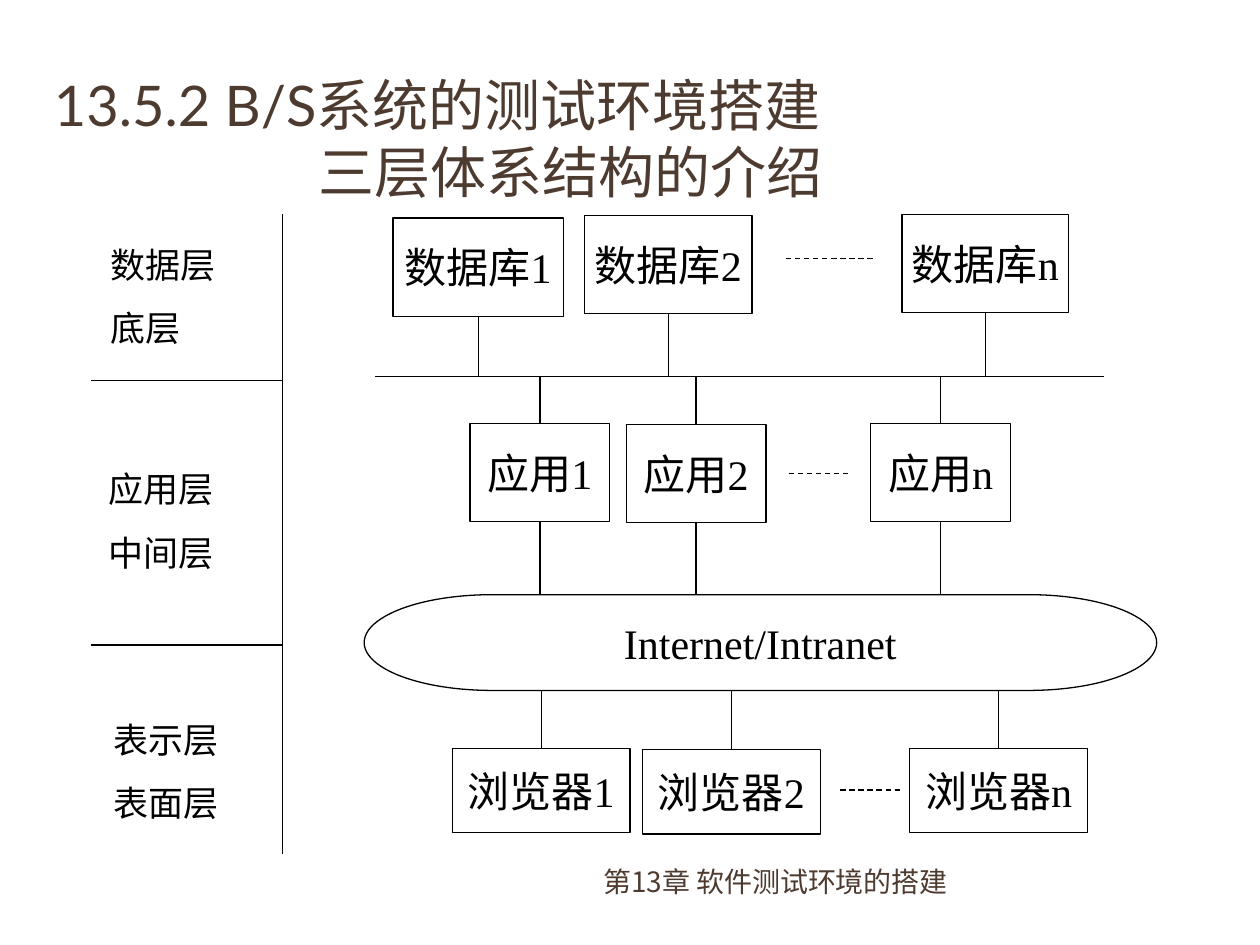
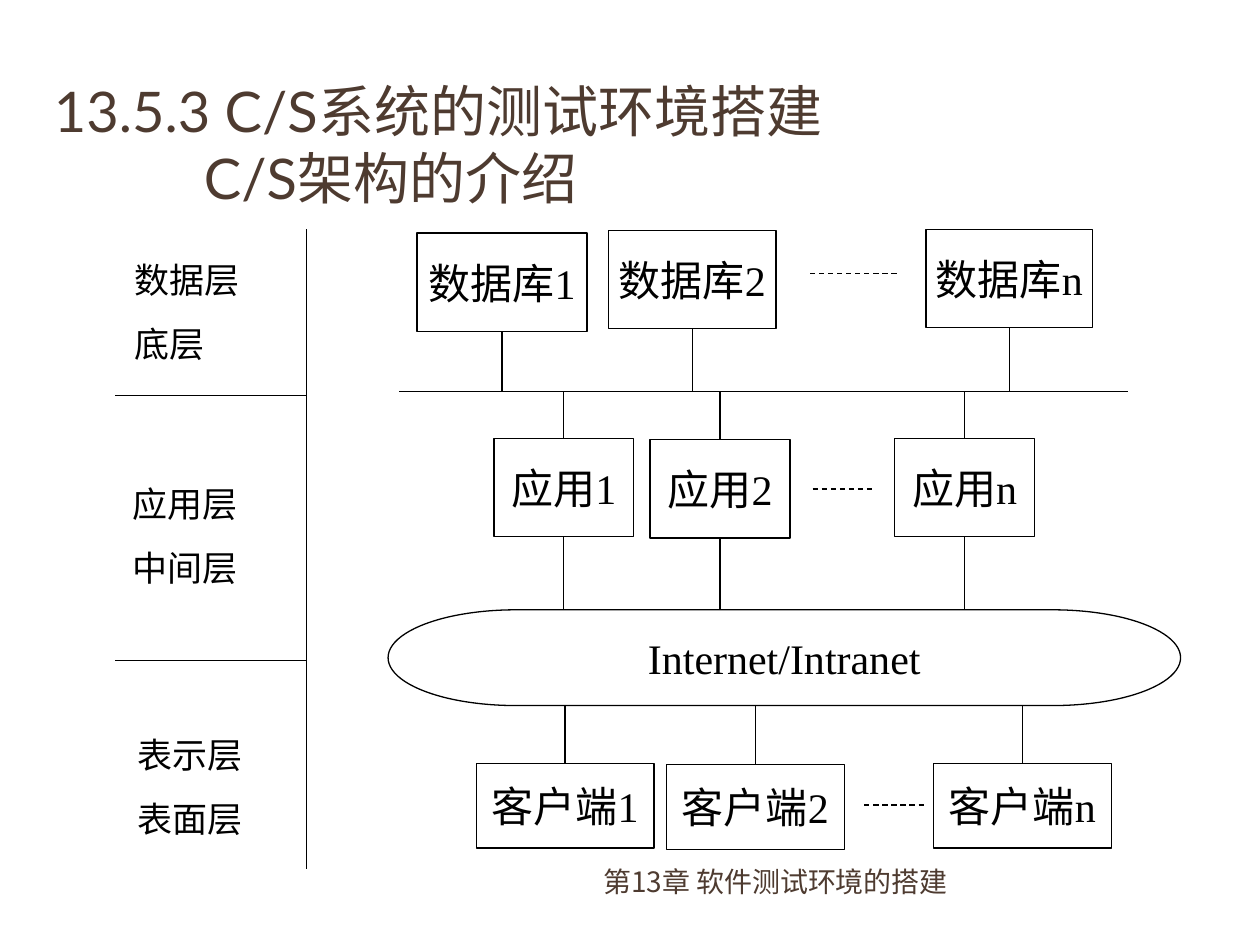
from dataclasses import dataclass

from lxml import etree
from pptx import Presentation
from pptx.dml.color import RGBColor
from pptx.enum.dml import MSO_LINE
from pptx.enum.shapes import MSO_CONNECTOR, MSO_SHAPE
from pptx.enum.text import MSO_ANCHOR, PP_ALIGN
from pptx.oxml.ns import qn
from pptx.util import Inches, Pt

RECT, TERMINATOR = MSO_SHAPE.RECTANGLE, MSO_SHAPE.FLOWCHART_TERMINATOR
STRAIGHT, DASH = MSO_CONNECTOR.STRAIGHT, MSO_LINE.DASH
LEFT, CENTER = PP_ALIGN.LEFT, PP_ALIGN.CENTER
TOP, MIDDLE = MSO_ANCHOR.TOP, MSO_ANCHOR.MIDDLE
TOP_SIDE, BOTTOM_SIDE = 0, 2


@dataclass(frozen=True)
class Theme:
    brown: RGBColor = RGBColor(0x4E, 0x3B, 0x30)
    black: RGBColor = RGBColor(0, 0, 0)
    title_font: str = "Lato"
    body_font: str = "Times New Roman"
    cjk_font: str = "Noto Sans CJK SC"
    title_size: int = 32
    node_size: int = 24
    label_size: int = 20
    footer_size: int = 16
    line_width: float = 0.75
    line_height: float = 1.2


THEME = Theme()


def write_text(tf, text, *, size, font=THEME.body_font, color=THEME.black,
               align=LEFT, anchor=TOP, wrap=True, gap=0, indent=0):
    """Write one paragraph per line; gap and indent apply after the first."""
    tf.word_wrap = wrap
    tf.vertical_anchor = anchor
    for i, line in enumerate(text.split("\n")):
        p = tf.paragraphs[0] if i == 0 else tf.add_paragraph()
        p.alignment = align
        p.line_spacing = Pt(size * THEME.line_height)
        if i and gap:
            p.space_before = Pt(gap)
        if i and indent:
            p_pr = p._p.get_or_add_pPr()
            p_pr.set("marL", str(Inches(indent)))
            p_pr.set("indent", "0")
        r = p.add_run()
        r.text = line
        r.font.name, r.font.size = font, Pt(size)
        r.font.color.rgb = color
        ea = etree.SubElement(r._r.get_or_add_rPr(), qn("a:ea"))
        ea.set("typeface", THEME.cjk_font)


class Deck:
    """Holds the style, the current slide and the offset of its diagram."""

    def __init__(self, theme):
        self.theme = theme
        self.prs = Presentation()
        self.prs.slide_width, self.prs.slide_height = Inches(10), Inches(7.5)

    def new_slide(self, dx, dy):
        self.s = self.prs.slides.add_slide(self.prs.slide_layouts[6])
        self.dx, self.dy = dx, dy

    def at(self, x, y):
        return Inches(x + self.dx), Inches(y + self.dy)

    def title(self, text, top, indent):
        sp = self.s.shapes.add_textbox(Inches(0.33), Inches(top), Inches(9.5), Inches(0.92))
        write_text(sp.text_frame, text, size=self.theme.title_size,
                   font=self.theme.title_font, color=self.theme.brown,
                   anchor=MIDDLE, indent=indent)

    def footer(self, text):
        sp = self.s.shapes.add_textbox(Inches(4.69), Inches(6.81), Inches(3.12), Inches(0.64))
        write_text(sp.text_frame, text, size=self.theme.footer_size,
                   font=self.theme.cjk_font, color=self.theme.brown)

    def label(self, text, x, y):
        sp = self.s.shapes.add_textbox(*self.at(x, y), Inches(1.35), Inches(0.94))
        write_text(sp.text_frame, text, size=self.theme.label_size, gap=12.5)

    def node(self, text, x, y, w, h, kind=RECT):
        sp = self.s.shapes.add_shape(kind, *self.at(x, y), Inches(w), Inches(h))
        sp.shadow.inherit = False
        sp.fill.background()
        sp.line.color.rgb = self.theme.black
        sp.line.width = Pt(self.theme.line_width)
        write_text(sp.text_frame, text, size=self.theme.node_size,
                   align=CENTER, anchor=MIDDLE, wrap=False)
        return sp

    def connector(self, start, end, dash=None):
        c = self.s.shapes.add_connector(STRAIGHT, *start, *end)
        c.line.color.rgb = self.theme.black
        c.line.width = Pt(self.theme.line_width)
        if dash:
            c.line.dash_style = dash
        etree.SubElement(c._element.spPr, qn("a:effectLst"))
        return c

    def line(self, x1, y1, x2, y2, dash=None):
        self.connector(self.at(x1, y1), self.at(x2, y2), dash)

    def drop(self, sp, side, y):
        """Run a vertical line from the middle of a node's side to height y."""
        x = sp.left + sp.width // 2
        edge = sp.top if side == TOP_SIDE else sp.top + sp.height
        self.connector((x, edge), (x, self.at(0, y)[1])).begin_connect(sp, side)


BUS_Y = 2.99
NET_TOP, NET_HEIGHT = 4.72, 0.76
DIVIDER_X = 2.24

# (node x, y, width) for each of 1, 2, n; then height, ellipsis x1, x2, y,
# and the (side, y) of every line leaving a node
TIERS = [
    ([(3.12, 1.73, 1.35), (4.64, 1.71, 1.33), (7.16, 1.7, 1.32)],
     0.78, (6.24, 6.94, 2.05), [(BOTTOM_SIDE, BUS_Y)]),
    ([(3.73, 3.36, 1.11), (4.97, 3.37, 1.11), (6.91, 3.36, 1.11)],
     0.78, (6.26, 6.74, 3.76), [(TOP_SIDE, BUS_Y), (BOTTOM_SIDE, NET_TOP)]),
    ([(3.59, 5.94, 1.41), (5.1, 5.95, 1.41), (7.22, 5.94, 1.41)],
     0.67, (6.67, 7.14, 6.27), [(TOP_SIDE, NET_TOP + NET_HEIGHT)]),
]
LABELS = [("数据层\n底层", 0.78, 1.88), ("应用层\n中间层", 0.76, 3.66),
          ("表示层\n表面层", 0.8, 5.65)]

# title, title top, indent of its second line, diagram offset, front-end name
SLIDES = [
    ("13.5.2 B/S系统的测试环境搭建\n三层体系结构的介绍", 0.63, 2.1, (0, 0), "浏览器"),
    ("13.5.3 C/S系统的测试环境搭建\nC/S架构的介绍", 0.68, 1.19, (0.19, 0.12), "客户端"),
]


def draw_architecture(deck, front_end):
    deck.line(2.98, BUS_Y, 8.76, BUS_Y)
    deck.node("Internet/Intranet", 2.89, NET_TOP, 6.29, NET_HEIGHT, TERMINATOR)
    for name, (places, height, ellipsis, drops) in zip(("数据库", "应用", front_end), TIERS):
        for suffix, (x, y, w) in zip("12n", places):
            sp = deck.node(name + suffix, x, y, w, height)
            for side, end_y in drops:
                deck.drop(sp, side, end_y)
        x1, x2, y = ellipsis
        deck.line(x1, y, x2, y, DASH)


def draw_layer_labels(deck):
    deck.line(DIVIDER_X, 1.7, DIVIDER_X, 6.78)
    for y in (3.02, 5.12):
        deck.line(DIVIDER_X, y, 0.72, y)
    for label in LABELS:
        deck.label(*label)


def main():
    deck = Deck(THEME)
    for title, top, indent, offset, front_end in SLIDES:
        deck.new_slide(*offset)
        deck.title(title, top, indent)
        deck.footer("第13章 软件测试环境的搭建")
        draw_architecture(deck, front_end)
        draw_layer_labels(deck)
    deck.prs.save("out.pptx")


if __name__ == "__main__":
    main()
